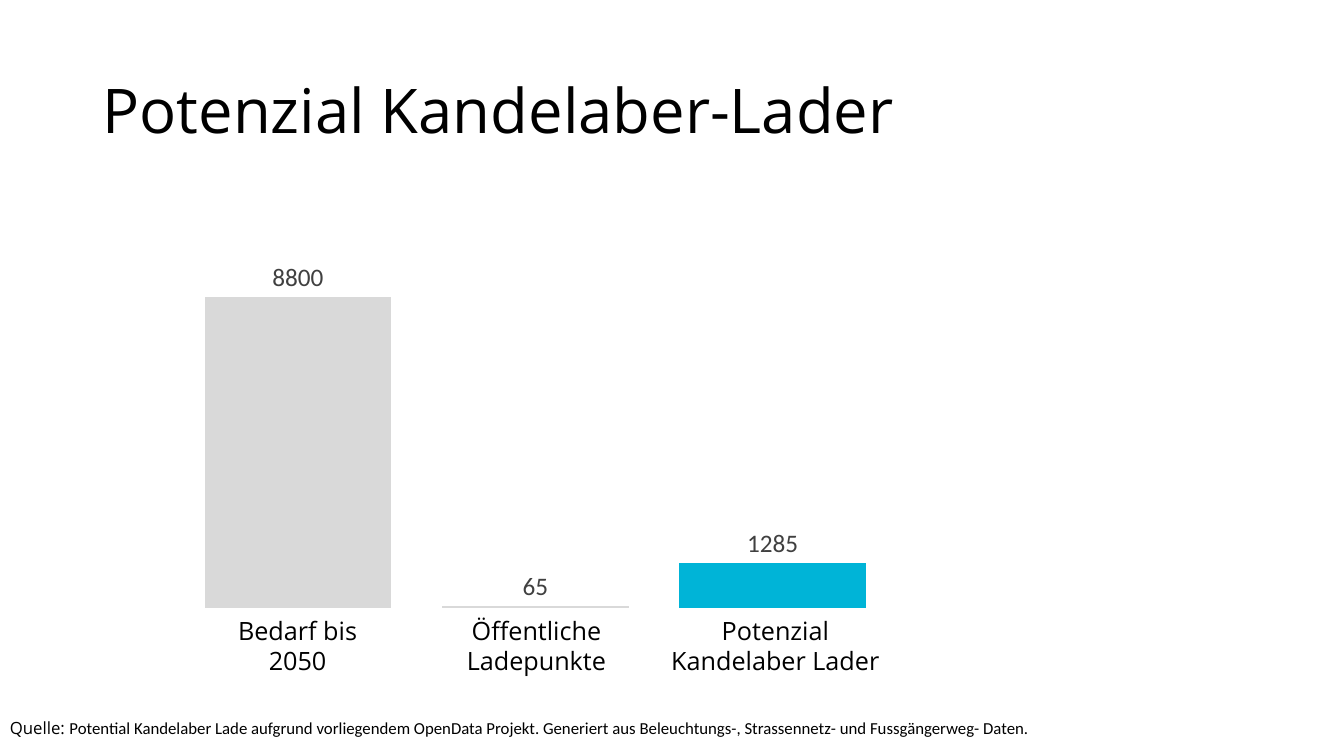
from dataclasses import dataclass

from lxml import etree
from pptx import Presentation
from pptx.chart.data import CategoryChartData
from pptx.dml.color import RGBColor
from pptx.enum.chart import XL_CHART_TYPE as ChartType, XL_LABEL_POSITION as LabelPosition
from pptx.enum.text import MSO_ANCHOR as Anchor, PP_ALIGN as Align
from pptx.oxml.ns import qn
from pptx.util import Cm, Pt

COLORS = {"text": "000000", "value": "404040", "grey": "D9D9D9", "accent": "00B4D7"}
HEADING_FONT, BODY_FONT = "Open Sans", "Calibri"


@dataclass
class Bar:
    series: str
    value: int
    color: str
    label: str
    label_width: float


BARS = [
    Bar("Series 1", 8800, "grey", "Bedarf bis 2050", 4.65),
    Bar("Series 2", 65, "grey", "Öffentliche Ladepunkte", 4.65),
    Bar("Series 3", 1285, "accent", "Potenzial\vKandelaber Lader", 6.05),
]
FIRST_CENTER, BAR_STEP = 7.5, 6.02
PLOT_AREA = {"x": 0.053, "y": 0.054, "w": 0.924, "h": 0.811}


def rgb(name: str) -> RGBColor:
    return RGBColor.from_string(COLORS[name])


def style(font, name: str, size: float, color: str = "text") -> None:
    font.name, font.size = name, Pt(size)
    font.color.rgb = rgb(color)


def add_text(page, left: float, top: float, width: float, height: float):
    box = page.shapes.add_textbox(Cm(left), Cm(top), Cm(width), Cm(height))
    box.text_frame.word_wrap = True
    return box.text_frame


def fix_plot_area(chart, area: dict[str, float]) -> None:
    """Place the inner plot area by fractions of the chart frame."""
    plot_area = chart._chartSpace.chart.plotArea
    for old in plot_area.findall(qn("c:layout")):
        plot_area.remove(old)
    layout = etree.Element(qn("c:layout"))
    plot_area.insert(0, layout)
    manual = etree.SubElement(layout, qn("c:manualLayout"))
    settings = {"layoutTarget": "inner", "xMode": "edge", "yMode": "edge", **area}
    for tag, value in settings.items():
        etree.SubElement(manual, qn(f"c:{tag}")).set("val", str(value))


def add_bar_chart(page) -> None:
    data = CategoryChartData()
    data.categories = ["1"]
    for bar in BARS:
        data.add_series(bar.series, [bar.value])
    chart = page.shapes.add_chart(
        ChartType.COLUMN_CLUSTERED, Cm(-1.55), Cm(5.82), Cm(29.21), Cm(11), data
    ).chart
    style(chart.font, BODY_FONT, 10)
    chart.has_title = chart.has_legend = False
    chart.category_axis.visible = chart.value_axis.visible = False
    chart.value_axis.has_major_gridlines = False
    chart.value_axis.minimum_scale, chart.value_axis.maximum_scale = 0, 10000
    fix_plot_area(chart, PLOT_AREA)

    plot = chart.plots[0]
    plot.gap_width, plot.overlap, plot.vary_by_categories = 219, -27, False
    for bar, series in zip(BARS, plot.series):
        series.format.fill.solid()
        series.format.fill.fore_color.rgb = rgb(bar.color)
        labels = series.data_labels
        labels.show_value = True
        labels.position = LabelPosition.OUTSIDE_END
        style(labels.font, BODY_FONT, 18, "value")


deck = Presentation()
deck.slide_width, deck.slide_height = Cm(33.87), Cm(19.05)
page = deck.slides.add_slide(deck.slide_layouts[5])

# Title
title = page.shapes.title
title.left, title.top, title.width, title.height = Cm(2.33), Cm(1.02), Cm(29.21), Cm(3.68)
title.text_frame.text = "Potenzial Kandelaber-Lader"
title.text_frame.vertical_anchor = Anchor.MIDDLE
para = title.text_frame.paragraphs[0]
para.alignment, para.line_spacing = Align.LEFT, 0.9
style(para.runs[0].font, HEADING_FONT, 44)

# Chart with a caption under each bar
add_bar_chart(page)
for index, bar in enumerate(BARS):
    left = FIRST_CENTER + index * BAR_STEP - bar.label_width / 2
    frame = add_text(page, left, 15.37, bar.label_width, 1.8)
    frame.text = bar.label
    para = frame.paragraphs[0]
    para.alignment = Align.CENTER
    for span in para.runs:
        style(span.font, HEADING_FONT, 18)

# Source line
frame = add_text(page, 0, 17.73, 27.76, 1.3)
frame.vertical_anchor = Anchor.MIDDLE
para = frame.paragraphs[0]
para.line_spacing = 0.9
source = (
    "Potential Kandelaber Lade aufgrund vorliegendem OpenData Projekt. "
    "Generiert aus Beleuchtungs-, Strassennetz- und Fussgängerweg- Daten."
)
for words, font_name in (("Quelle: ", HEADING_FONT), (source, BODY_FONT)):
    span = para.add_run()
    span.text = words
    style(span.font, font_name, 12)

deck.save("out.pptx")
